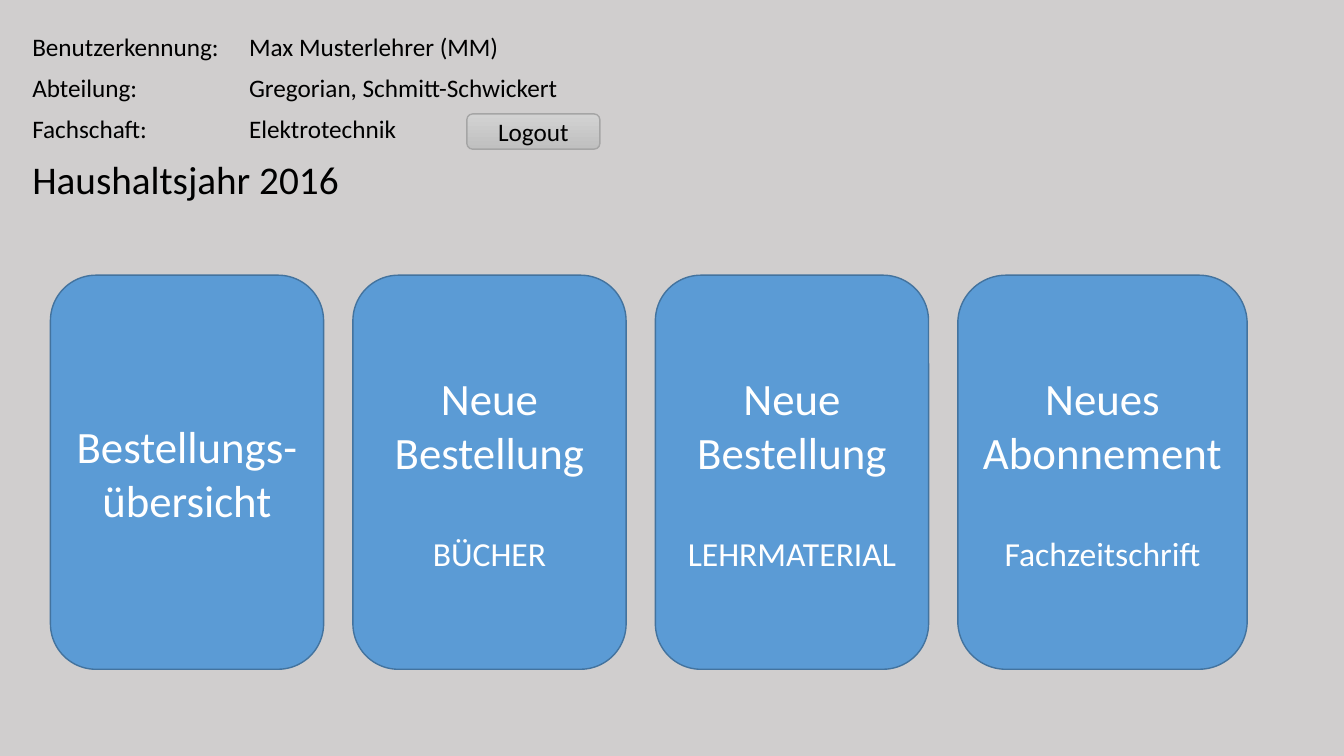
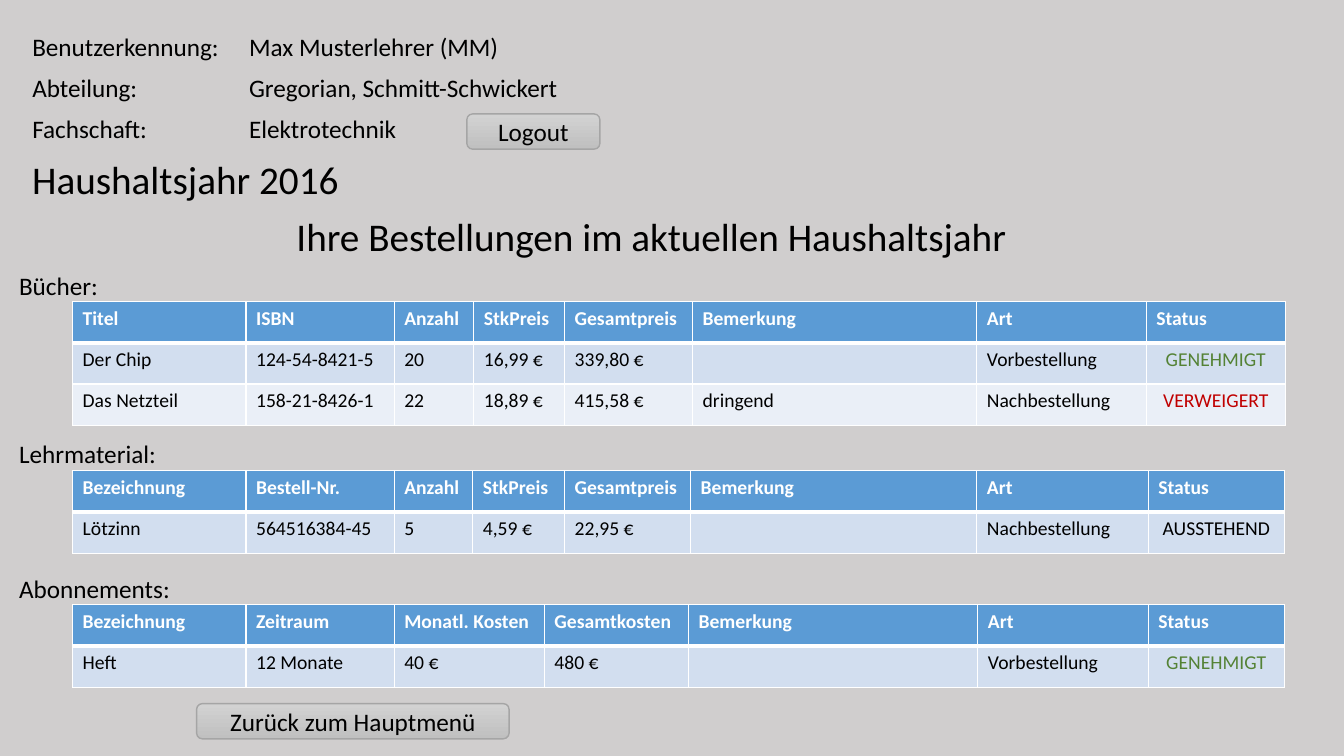
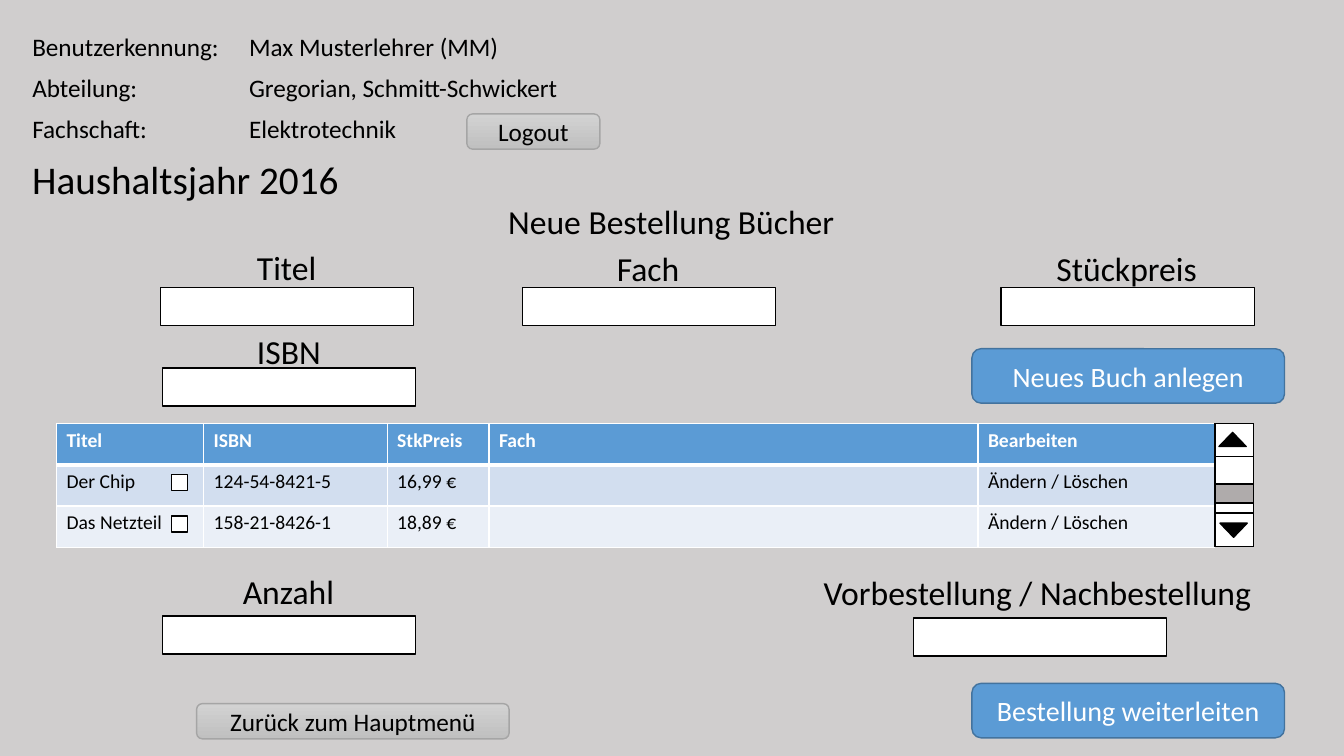
from lxml.etree import SubElement
from pptx import Presentation
from pptx.dml.color import RGBColor
from pptx.enum.shapes import MSO_SHAPE
from pptx.enum.text import MSO_ANCHOR, MSO_AUTO_SIZE, PP_ALIGN
from pptx.oxml.ns import qn
from pptx.util import Emu, Pt

FONT = "Calibri"
BACKGROUND, BLACK, WHITE = "D0CECE", "000000", "FFFFFF"
BLUE, BLUE_EDGE = "5B9BD5", "43739E"
GRAY_TOP, GRAY_BOTTOM, GRAY_EDGE, THUMB = "D2D2D2", "C0C0C0", "A5A5A5", "AFABAB"
BANDS = ["D2DEEF", "EAEFF7"]
STATUS_COLORS = {"GENEHMIGT": "548235", "VERWEIGERT": "C00000", "AUSSTEHEND": BLACK}
NO_GRID_STYLE = "{2D5ABB26-0587-4C30-8999-92F81FD0307C}"
ROW_HEIGHT = 41

USER_ROWS = [
    ["Benutzerkennung:", "Max Musterlehrer (MM)"],
    ["Abteilung:", "Gregorian, Schmitt-Schwickert"],
    ["Fachschaft:", "Elektrotechnik"],
]
YEAR = ("Haushaltsjahr 2016", (22, 149, 328, 57), 28)
LOGOUT = ("Logout", (463, 113, 132, 35))
BACK = ("Zurück zum Hauptmenü", (195, 698, 310, 35))

MENU_CARDS = [
    ("Bestellungs-übersicht", None, 271),
    ("Neue Bestellung", "BÜCHER", 271),
    ("Neue Bestellung", "LEHRMATERIAL", 271),
    ("Neues Abonnement", "Fachzeitschrift", 287),
]

ORDERS_TITLE = ("Ihre Bestellungen im aktuellen Haushaltsjahr", (284, 206, 732, 57), 28)
ORDER_TABLES = [
    ("Bücher:", (9, 263, 99, 40), 299, [172, 147, 79, 90, 127, 282, 168, 138], [
        ["Titel", "ISBN", "Anzahl", "StkPreis", "Gesamtpreis", "Bemerkung", "Art", "Status"],
        ["Der Chip", "124-54-8421-5", "20", "16,99 €", "339,80 €", "", "Vorbestellung", "GENEHMIGT"],
        ["Das Netzteil", "158-21-8426-1", "22", "18,89 €", "415,58 €", "dringend",
         "Nachbestellung", "VERWEIGERT"],
    ]),
    ("Lehrmaterial:", (9, 430, 158, 40), 467, [172, 147, 78, 91, 125, 284, 170, 135], [
        ["Bezeichnung", "Bestell-Nr.", "Anzahl", "StkPreis", "Gesamtpreis", "Bemerkung", "Art", "Status"],
        ["Lötzinn", "564516384-45", "5", "4,59 €", "22,95 €", "", "Nachbestellung", "AUSSTEHEND"],
    ]),
    ("Abonnements:", (9, 564, 172, 40), 600, [172, 147, 149, 143, 287, 169, 135], [
        ["Bezeichnung", "Zeitraum", "Monatl. Kosten", "Gesamtkosten", "Bemerkung", "Art", "Status"],
        ["Heft", "12 Monate", "40 €", "480 €", "", "Vorbestellung", "GENEHMIGT"],
    ]),
]

BOOKS_TITLE = ("Neue Bestellung Bücher", (494, 194, 347, 50), 24)
FIELDS = [
    ("Titel", (245, 240, 80, 50), (159, 285)),
    ("Fach", (602, 241, 83, 50), (518, 285)),
    ("Stückpreis", (1038, 241, 161, 50), (993, 285)),
    ("ISBN", (245, 323, 84, 50), (161, 365)),
    ("Anzahl", (231, 561, 112, 50), (161, 611)),
    ("Vorbestellung / Nachbestellung", (807, 562, 448, 50), (906, 613)),
]
FIELD_SIZE = (251, 38)
BOOK_COLUMNS = [146, 182, 101, 485, 235]
BOOK_ROWS = [
    ["Titel", "ISBN", "StkPreis", "Fach", "Bearbeiten"],
    ["Der Chip", "124-54-8421-5", "16,99 €", "", "Ändern / Löschen"],
    ["Das Netzteil", "158-21-8426-1", "18,89 €", "", "Ändern / Löschen"],
]
BOOK_ACTIONS = [("Neues Buch anlegen", 346), ("Bestellung weiterleiten", 678)]
SCROLLBAR = [
    (MSO_SHAPE.RECTANGLE, (1205, 420, 38, 122), WHITE, 0),
    (MSO_SHAPE.RECTANGLE, (1205, 420, 38, 33), WHITE, 0),
    (MSO_SHAPE.RECTANGLE, (1205, 509, 38, 33), WHITE, 0),
    (MSO_SHAPE.RECTANGLE, (1205, 480, 38, 19), THUMB, 0),
    (MSO_SHAPE.ISOSCELES_TRIANGLE, (1209, 429, 27, 14), BLACK, 0),
    (MSO_SHAPE.ISOSCELES_TRIANGLE, (1210, 519, 27, 14), BLACK, 180),
]


def px(value):
    return Emu(value * 9144)


def rgb(value):
    return RGBColor.from_string(value)


def write(para, text, size, color=BLACK, bold=False, align=PP_ALIGN.LEFT):
    para.text = text
    para.alignment = align
    para.font.name = FONT
    para.font.size = Pt(size)
    para.font.bold = bold
    para.font.color.rgb = rgb(color)


def add_label(slide, text, at, size, is_title=False):
    places = [px(value) for value in at]
    if is_title:
        box = slide.shapes.title
        box.left, box.top, box.width, box.height = places
    else:
        box = slide.shapes.add_textbox(*places)
    frame = box.text_frame
    frame.word_wrap = False
    frame.auto_size = MSO_AUTO_SIZE.NONE
    frame.vertical_anchor = MSO_ANCHOR.TOP
    write(frame.paragraphs[0], text, size)


def add_box(slide, kind, at, fill=WHITE, edge=BLACK):
    box = slide.shapes.add_shape(kind, *[px(value) for value in at])
    box.shadow.inherit = False
    box.fill.solid()
    box.fill.fore_color.rgb = rgb(fill)
    box.line.color.rgb = rgb(edge)
    box.line.width = Pt(1)
    return box


def add_blue_button(slide, text, at, size):
    box = add_box(slide, MSO_SHAPE.ROUNDED_RECTANGLE, at, BLUE, BLUE_EDGE)
    write(box.text_frame.paragraphs[0], text, size, WHITE, align=PP_ALIGN.CENTER)
    return box


def add_gray_button(slide, text, at):
    box = add_box(slide, MSO_SHAPE.ROUNDED_RECTANGLE, at, GRAY_TOP, GRAY_EDGE)
    box.fill.gradient()
    box.fill.gradient_angle = 270
    for stop, color in zip(box.fill.gradient_stops, (GRAY_TOP, GRAY_BOTTOM)):
        stop.color.rgb = rgb(color)
    write(box.text_frame.paragraphs[0], text, 18, align=PP_ALIGN.CENTER)


def add_grid(slide, left, top, columns, rows):
    frame = slide.shapes.add_table(len(rows), len(columns), px(left), px(top),
                                   px(sum(columns)), px(ROW_HEIGHT * len(rows)))
    table = frame.table
    table._tbl.tblPr.find(qn("a:tableStyleId")).text = NO_GRID_STYLE
    for column, width in zip(table.columns, columns):
        column.width = px(width)
    for row in table.rows:
        row.height = px(ROW_HEIGHT)
    return table


def set_borders(cell, top, bottom):
    properties = cell._tc.get_or_add_tcPr()
    for side, width in (("L", 1), ("R", 1), ("T", top), ("B", bottom)):
        line = SubElement(properties, qn(f"a:ln{side}"), w=str(Pt(width)))
        SubElement(SubElement(line, qn("a:solidFill")), qn("a:srgbClr"), val=WHITE)


def add_data_table(slide, left, top, columns, rows):
    table = add_grid(slide, left, top, columns, rows)
    for row_index, row in enumerate(rows):
        is_header = row_index == 0
        for column_index, text in enumerate(row):
            cell = table.cell(row_index, column_index)
            set_borders(cell, 3 if row_index == 1 else 1, 3 if is_header else 1)
            cell.fill.solid()
            cell.fill.fore_color.rgb = rgb(BLUE if is_header else BANDS[(row_index - 1) % 2])
            if text:
                color = WHITE if is_header else STATUS_COLORS.get(text, BLACK)
                align = PP_ALIGN.CENTER if text in STATUS_COLORS else PP_ALIGN.LEFT
                write(cell.text_frame.paragraphs[0], text, 14, color, is_header, align)


def add_page(deck, title):
    slide = deck.slides.add_slide(deck.slide_layouts[5])
    table = add_grid(slide, 22, 27, [215, 357], USER_ROWS)
    for row_index, row in enumerate(USER_ROWS):
        for column_index, text in enumerate(row):
            cell = table.cell(row_index, column_index)
            cell.fill.background()
            write(cell.text_frame.paragraphs[0], text, 18)
    add_label(slide, *title, is_title=True)
    if title != YEAR:
        add_label(slide, *YEAR)
        add_gray_button(slide, *BACK)
    add_gray_button(slide, *LOGOUT)
    return slide


def build_menu(deck):
    slide = add_page(deck, YEAR)
    for index, (heading, caption, width) in enumerate(MENU_CARDS):
        card = add_blue_button(slide, heading, (50 + 300 * index, 273, width, 391), 32)
        if caption:
            para = card.text_frame.add_paragraph()
            write(para, caption, 24, WHITE, align=PP_ALIGN.CENTER)
            para.space_before = Pt(39)


def build_orders(deck):
    slide = add_page(deck, ORDERS_TITLE)
    for label, at, top, columns, rows in ORDER_TABLES:
        add_label(slide, label, at, 18)
        add_data_table(slide, 72, top, columns, rows)


def build_book_order(deck):
    slide = add_page(deck, BOOKS_TITLE)
    for label, at, corner in FIELDS:
        add_label(slide, label, at, 24)
        add_box(slide, MSO_SHAPE.RECTANGLE, corner + FIELD_SIZE)
    add_data_table(slide, 56, 420, BOOK_COLUMNS, BOOK_ROWS)
    for index in range(len(BOOK_ROWS) - 1):
        add_box(slide, MSO_SHAPE.RECTANGLE, (170, 471 + ROW_HEIGHT * index, 16, 16))
    for kind, at, fill, rotation in SCROLLBAR:
        add_box(slide, kind, at, fill).rotation = rotation
    for text, top in BOOK_ACTIONS:
        add_blue_button(slide, text, (964, top, 310, 54), 20)


def main():
    deck = Presentation()
    deck.slide_width, deck.slide_height = px(1333), px(750)
    background = deck.slide_master.background.fill
    background.solid()
    background.fore_color.rgb = rgb(BACKGROUND)
    build_menu(deck)
    build_orders(deck)
    build_book_order(deck)
    deck.save("out.pptx")


if __name__ == "__main__":
    main()
